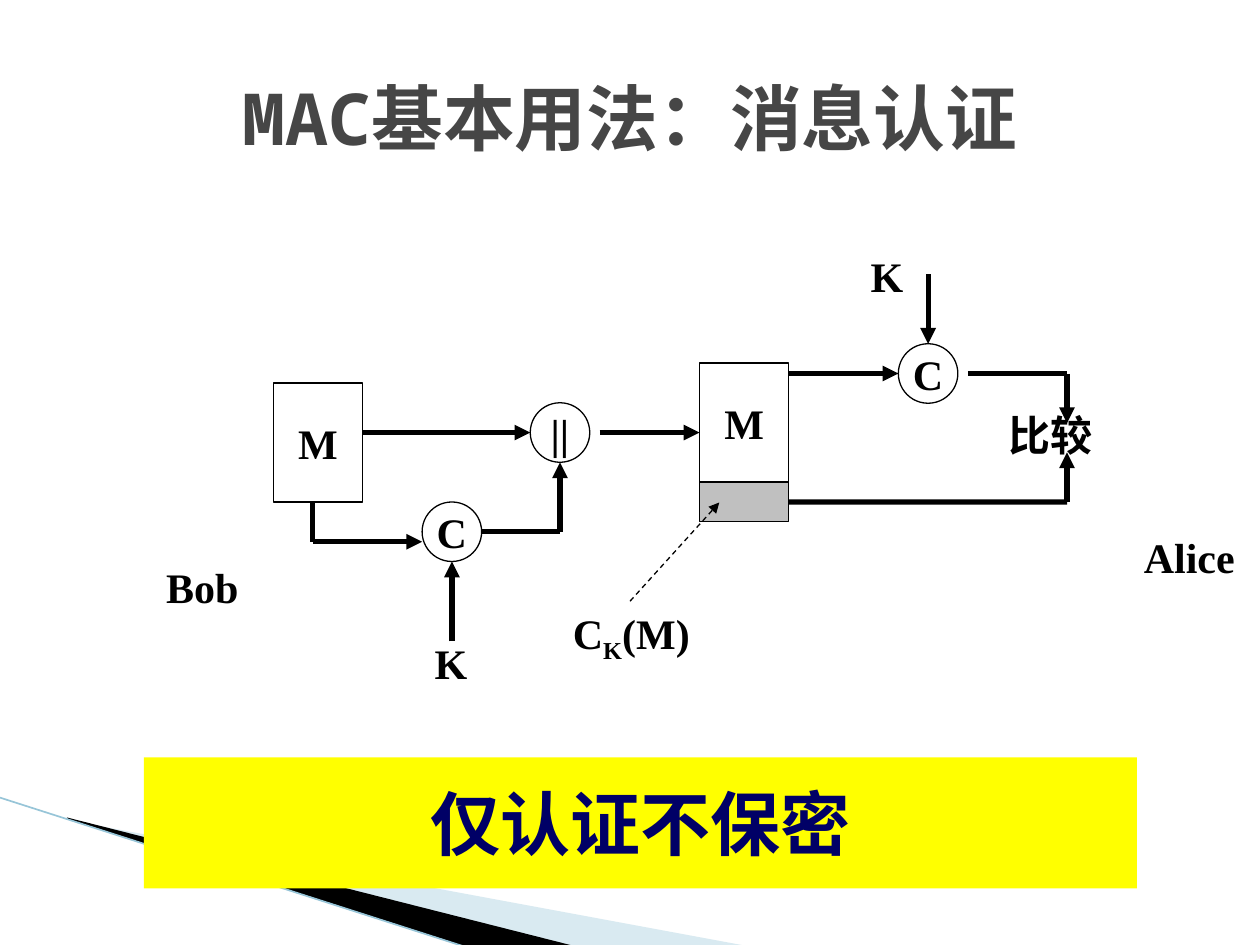
from lxml import etree
from pptx import Presentation
from pptx.dml.color import RGBColor
from pptx.enum import dml, shapes, text
from pptx.oxml.ns import qn
from pptx.util import Cm, Pt


def color(fill, hex_value):
    fill.solid()
    fill.fore_color.rgb = RGBColor.from_string(hex_value)


def write(shape, runs, size=24, font="Times New Roman", ink="000000", centered=True, wrap=False):
    frame = shape.text_frame
    frame_format = {
        "word_wrap": wrap,
        "vertical_anchor": text.MSO_ANCHOR.MIDDLE if centered else text.MSO_ANCHOR.TOP,
    }
    for key, value in frame_format.items():
        setattr(frame, key, value)
    paragraph = frame.paragraphs[0]
    paragraph.alignment = text.PP_ALIGN.CENTER if centered else text.PP_ALIGN.LEFT
    for words, baseline in runs:
        run = paragraph.add_run()
        run.text = words
        for key, value in {"size": Pt(size), "name": font, "bold": True}.items():
            setattr(run.font, key, value)
        color(run.font.fill, ink)
        if baseline:
            run._r.get_or_add_rPr().set("baseline", str(baseline))


deck = Presentation()
deck.slide_width, deck.slide_height = Cm(25.4), Cm(19.05)
slide = deck.slides.add_slide(deck.slide_layouts[6])
canvas = slide.shapes

wedges = [
    ("A0CBDC", 40, [(1.4, 16.54), (15.11, 19.08), (11.58, 19.08), (1.4, 16.51)]),
    ("000000", 100, [(1.35, 16.48), (11.61, 19.08), (9.45, 19.1), (1.37, 16.51)]),
]
for shade, opacity, corners in wedges:
    points = [(Cm(x), Cm(y)) for x, y in corners]
    builder = canvas.build_freeform(*points[0])
    builder.add_line_segments(points[1:], close=True)
    wedge = builder.convert_to_shape()
    wedge.shadow.inherit = False
    color(wedge.fill, shade)
    wedge.line.fill.background()
    if opacity < 100:
        tint = wedge._element.spPr.find(f"{qn('a:solidFill')}/{qn('a:srgbClr')}")
        etree.SubElement(tint, qn("a:alpha"), val=str(opacity * 1000))

title = canvas.add_textbox(Cm(1.27), Cm(0.76), Cm(22.86), Cm(3.18))
write(title, [("MAC基本用法：消息认证", 0)], 41, "Noto Sans Mono", "464646", wrap=True)

box, circle = shapes.MSO_SHAPE.RECTANGLE, shapes.MSO_SHAPE.OVAL
nodes = [
    ("M", box, 5.51, 7.72, 1.8, 2.4, "FFFFFF"),
    ("||", circle, 10.69, 8.12, 1.2, 1.2, "FFFFFF"),
    ("C", circle, 8.51, 10.12, 1.2, 1.2, "FFFFFF"),
    ("C", circle, 18.11, 6.93, 1.2, 1.2, "FFFFFF"),
    ("M", box, 14.1, 7.32, 1.8, 2.4, "FFFFFF"),
    ("", box, 14.1, 9.72, 1.8, 0.8, "C0C0C0"),
]
for symbol, outline, left, top, width, height, shade in nodes:
    node = canvas.add_shape(outline, Cm(left), Cm(top), Cm(width), Cm(height))
    node.shadow.inherit = False
    color(node.fill, shade)
    color(node.line.fill, "000000")
    node.line.width = Pt(0.75)
    if symbol:
        write(node, [(symbol, 0)])
tag = node

labels = [
    ([("Bob", 0)], 3.1, 11.2, 3.6),
    ([("Alice", 0)], 22.81, 10.59, 2.59),
    ([("K", 0)], 8.51, 12.73, 1.8),
    ([("C", 0), ("K", -25000), ("(M)", 0)], 11.3, 12.12, 3.6),
    ([("K", 0)], 17.3, 4.93, 1),
    ([("比较", 0)], 20.09, 8.13, 2.4),
]
for runs, left, top, width in labels:
    label = canvas.add_textbox(Cm(left), Cm(top), Cm(width), Cm(1.27))
    write(label, runs, centered=False, wrap=True)

solid = {"width": Pt(3)}
dashed = {"width": Pt(0.75), "dash_style": dml.MSO_LINE.DASH}
edge = {"width": Pt(0.95)}
flows = [
    (0, 16.08, 9.42, 19.1, "97C5D8", edge, False),
    (7.31, 8.72, 10.69, 8.72, "000000", solid, True),
    (9.11, 12.93, 9.11, 11.32, "000000", solid, True),
    (12.09, 8.72, 14.1, 8.72, "000000", solid, True),
    (15.9, 7.53, 18.11, 7.53, "000000", solid, True),
    (6.3, 10.12, 6.3, 10.92, "000000", solid, False),
    (6.3, 10.92, 8.51, 10.92, "000000", solid, True),
    (9.71, 10.72, 11.29, 10.72, "000000", solid, False),
    (11.29, 10.72, 11.29, 9.32, "000000", solid, True),
    (18.71, 5.53, 18.71, 6.93, "000000", solid, True),
    (19.51, 7.53, 21.51, 7.53, "000000", solid, False),
    (21.51, 7.53, 21.51, 8.53, "000000", solid, True),
    (21.51, 10.12, 21.51, 9.12, "000000", solid, True),
    (12.7, 12.12, 14.5, 10.13, "000000", dashed, True),
    (15.9, 10.12, 21.51, 10.12, "000000", solid, False),
]
for x1, y1, x2, y2, ink, line_format, arrow in flows:
    flow = canvas.add_connector(shapes.MSO_CONNECTOR.STRAIGHT, Cm(x1), Cm(y1), Cm(x2), Cm(y2))
    color(flow.line.fill, ink)
    for key, value in line_format.items():
        setattr(flow.line, key, value)
    if arrow:
        etree.SubElement(flow.line._get_or_add_ln(), qn("a:tailEnd"), type="triangle")
    etree.SubElement(flow._element.spPr, qn("a:effectLst"))
flow.begin_connect(tag, 3)

conclusion = canvas.add_shape(box, Cm(2.9), Cm(15.27), Cm(20.02), Cm(2.64))
conclusion.shadow.inherit = False
color(conclusion.fill, "FFFF00")
conclusion.line.fill.background()
write(conclusion, [("仅认证不保密", 0)], 40, ink="000066")

deck.save("out.pptx")
